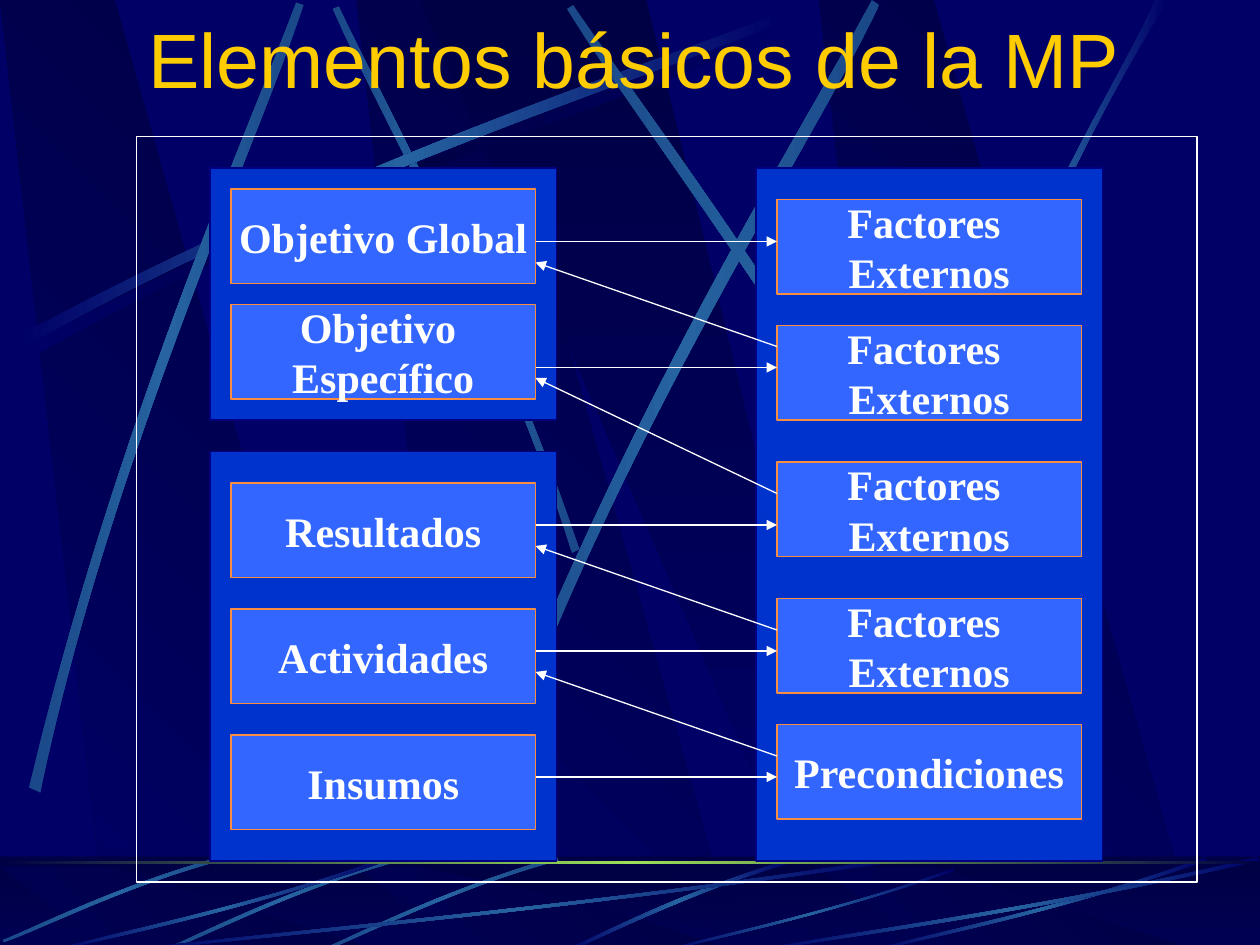
"""Builds the slide on the basic elements of the MP, with its factors and arrows."""
from dataclasses import dataclass

from lxml.etree import SubElement
from pptx import Presentation
from pptx.dml.color import RGBColor
from pptx.enum.shapes import MSO_CONNECTOR, MSO_SHAPE
from pptx.enum.text import MSO_ANCHOR, PP_ALIGN
from pptx.oxml.ns import qn
from pptx.util import Pt


@dataclass(frozen=True)
class Theme:
    night: str = "000066"
    dark: str = "000044"
    glow: str = "2663A0"
    dim_glow: str = "1A4888"
    horizon: str = "9CE157"
    panel: str = "0033CC"
    panel_edge: str = "000080"
    box: str = "3366FF"
    box_edge: str = "F98D43"
    white: str = "FFFFFF"
    title: str = "FFCC00"
    title_font: str = "Arial"
    title_size: int = 44
    box_font: str = "Times New Roman"
    box_size: int = 24


theme = Theme()
deck = Presentation()
deck.slide_width, deck.slide_height = Pt(720), Pt(540)
slide = deck.slides.add_slide(deck.slide_layouts[6])
slide.background.fill.solid()
slide.background.fill.fore_color.rgb = RGBColor.from_string(theme.night)
shapes = slide.shapes


def paint_gradient(shape, colours, angle):
    shape.shadow.inherit = False
    shape.line.fill.background()
    shape.fill.gradient()
    shape.fill.gradient_angle = (360 - angle) % 360
    stops = shape._element.spPr.find(qn("a:gradFill")).find(qn("a:gsLst"))
    for stop in list(stops):
        stops.remove(stop)
    for index, colour in enumerate(colours):
        position = 100000 * index // (len(colours) - 1)
        stop = SubElement(stops, qn("a:gs"), pos=str(position))
        SubElement(stop, qn("a:srgbClr"), val=colour)


def draw_outline(points, colours, angle):
    builder = shapes.build_freeform(*points[0], scale=Pt(0.72))
    builder.add_line_segments(points[1:], close=True)
    outline = builder.convert_to_shape()
    paint_gradient(outline, colours, angle)
    return outline


shade = (theme.dark, theme.night)
shadow_streak = (theme.night, theme.dark, theme.night)
level = (theme.night, theme.glow, theme.night)
tilted = (theme.dim_glow, theme.glow, theme.dim_glow)

sky_streaks = [
    (shadow_streak, (20, 275, 284, 134, 524, 59, 626, 18, 629, 24, 528, 69, 254, 151, 23, 285)),
    (tilted, (460, 436, 391, 234, 302, 77, 269, 5, 264, 7, 295, 79, 398, 258, 454, 439)),
    (level, (14, 267, 278, 125, 518, 51, 620, 10, 623, 16, 522, 61, 248, 143, 17, 277)),
    (tilted, (23, 625, 93, 334, 197, 105, 235, 2, 241, 4, 207, 108, 86, 368, 32, 629)),
    (tilted, (385, 614, 498, 320, 638, 102, 692, 0, 698, 4, 649, 108, 486, 355, 394, 621)),
    (tilted, (806, 560, 670, 293, 516, 95, 455, 4, 450, 7, 507, 101, 685, 325, 799, 566)),
    (level, (738, 393, 814, 173, 888, 66, 917, 0, 927, 0, 836, 145, 769, 322, 744, 397)),
]
floor_streaks = [
    (level, (627, 682, 537, 709, 477, 742, 448, 754, 453, 755, 490, 737, 571, 700, 628, 685)),
    (tilted, (442, 680, 355, 705, 287, 740, 256, 753, 257, 755, 288, 743, 365, 703, 444, 683)),
    (tilted, (317, 680, 230, 705, 162, 740, 131, 753, 132, 755, 163, 743, 240, 703, 319, 683)),
    (tilted, (186, 677, 99, 700, 33, 734, 2, 746, 3, 748, 34, 737, 110, 698, 188, 680)),
    (level, (717, 683, 449, 723, 206, 744, 103, 755, 100, 754, 202, 741, 480, 718, 714, 680)),
    (level, (308, 683, 193, 723, 88, 744, 43, 755, 42, 754, 86, 741, 206, 718, 307, 680)),
    (level, (758, 691, 658, 726, 567, 745, 528, 755, 527, 754, 565, 743, 669, 722, 757, 689)),
    (level, (958, 683, 843, 723, 738, 744, 693, 755, 692, 754, 736, 741, 856, 718, 957, 680)),
    (level, (1000, 683, 827, 723, 669, 744, 602, 755, 600, 754, 666, 741, 846, 718, 998, 680)),
]

for top, bottom, streaks in ((0, 752, sky_streaks), (688, 755, floor_streaks)):
    if streaks is floor_streaks:
        floor = shapes.add_shape(MSO_SHAPE.RECTANGLE, 0, Pt(489.6), Pt(720), Pt(54))
        paint_gradient(floor, shade, 90)
    for left in (283, 0, 650):
        beam = [(left + 86, bottom), (left + 302, bottom), (left + 91, top), (left, top)]
        draw_outline(beam, shade, 135)
    draw_outline([(333, top), (658, bottom), (694, bottom), (513, top)], shade, 90)
    if streaks is floor_streaks:
        veil = shapes.add_shape(MSO_SHAPE.RECTANGLE, 0, Pt(489), Pt(720), Pt(54))
        veil.shadow.inherit = False
        veil.line.fill.background()
        veil.fill.solid()
        veil.fill.fore_color.rgb = RGBColor.from_string(theme.dark)
        veil_colour = veil._element.spPr.find(qn("a:solidFill"))[0]
        SubElement(veil_colour, qn("a:alpha"), val="50000")
    for colours, numbers in streaks:
        streak = draw_outline(list(zip(numbers[::2], numbers[1::2])), colours, 0)
        route = next(streak._element.iter(qn("a:path")))
        segments = list(route)
        for side in (segments[1:4], segments[5:8]):
            curve = SubElement(route, qn("a:cubicBezTo"))
            route.replace(side[0], curve)
            for segment in side:
                curve.append(segment[0])
            for segment in side[1:]:
                route.remove(segment)

horizon = shapes.add_shape(MSO_SHAPE.RECTANGLE, 0, Pt(492.2), Pt(720), Pt(1.8))
paint_gradient(horizon, (theme.dark, theme.horizon, theme.dark), 0)

backdrop = deck.slide_master.shapes._spTree
for number, piece in enumerate(list(shapes), start=100):
    piece._element.nvSpPr.cNvPr.set("id", str(number))
    backdrop.append(piece._element)

goals = {108: "Objetivo Global", 174: "Objetivo \nEspecífico", 276: "Resultados",
         348: "Actividades", 420: "Insumos"}
factors = dict.fromkeys((114, 186, 264, 342), "Factores \nExternos") | {414: "Precondiciones"}
blocks = [(78, 78, 606, 426, None, theme.white, "")]
blocks += [(left, top, 198, height, theme.panel, theme.panel_edge, "")
           for left, top, height in ((432, 96, 396), (120, 96, 144), (120, 258, 234))]
blocks += [(left, top, 174, 54, theme.box, theme.box_edge, wording)
           for left, column in ((132, goals), (444, factors))
           for top, wording in column.items()]

for left, top, width, height, fill, edge_colour, wording in blocks:
    block = shapes.add_shape(MSO_SHAPE.RECTANGLE, Pt(left), Pt(top), Pt(width), Pt(height))
    block.shadow.inherit = False
    block.line.color.rgb = RGBColor.from_string(edge_colour)
    block.line.width = Pt(0.75)
    if fill:
        block.fill.solid()
        block.fill.fore_color.rgb = RGBColor.from_string(fill)
    else:
        block.fill.background()
    if wording:
        block.text_frame.word_wrap = False
        block.text_frame.vertical_anchor = MSO_ANCHOR.MIDDLE
        label = block.text_frame.paragraphs[0]
        label.text = wording
        label.alignment = PP_ALIGN.CENTER
        for run in label.runs:
            run.font.name, run.font.size = theme.box_font, Pt(theme.box_size)
            run.font.bold = True
            run.font.color.rgb = RGBColor.from_string(theme.white)

title = shapes.add_textbox(Pt(41), Pt(5), Pt(643), Pt(55.5)).text_frame
title.word_wrap = True
title.vertical_anchor = MSO_ANCHOR.MIDDLE
title.text = "Elementos básicos de la MP"
heading = title.paragraphs[0]
heading.alignment = PP_ALIGN.CENTER
heading.runs[0].font.name = theme.title_font
heading.runs[0].font.size = Pt(theme.title_size)
heading.runs[0].font.color.rgb = RGBColor.from_string(theme.title)

goal_edge, factor_edge = 306, 444
arrows = [(goal_edge, y, factor_edge, y) for y in (138, 210, 300, 372, 444)]
arrows += [(factor_edge, start, goal_edge, end)
           for start, end in ((198, 150), (282, 216), (360, 312), (432, 384))]
for ends in arrows:
    arrow = shapes.add_connector(MSO_CONNECTOR.STRAIGHT, *map(Pt, ends))
    arrow.line.color.rgb = RGBColor.from_string(theme.white)
    arrow.line.width = Pt(0.75)
    SubElement(arrow.line._get_or_add_ln(), qn("a:tailEnd"), type="triangle")
    SubElement(arrow._element.spPr, qn("a:effectLst"))

deck.save("out.pptx")
